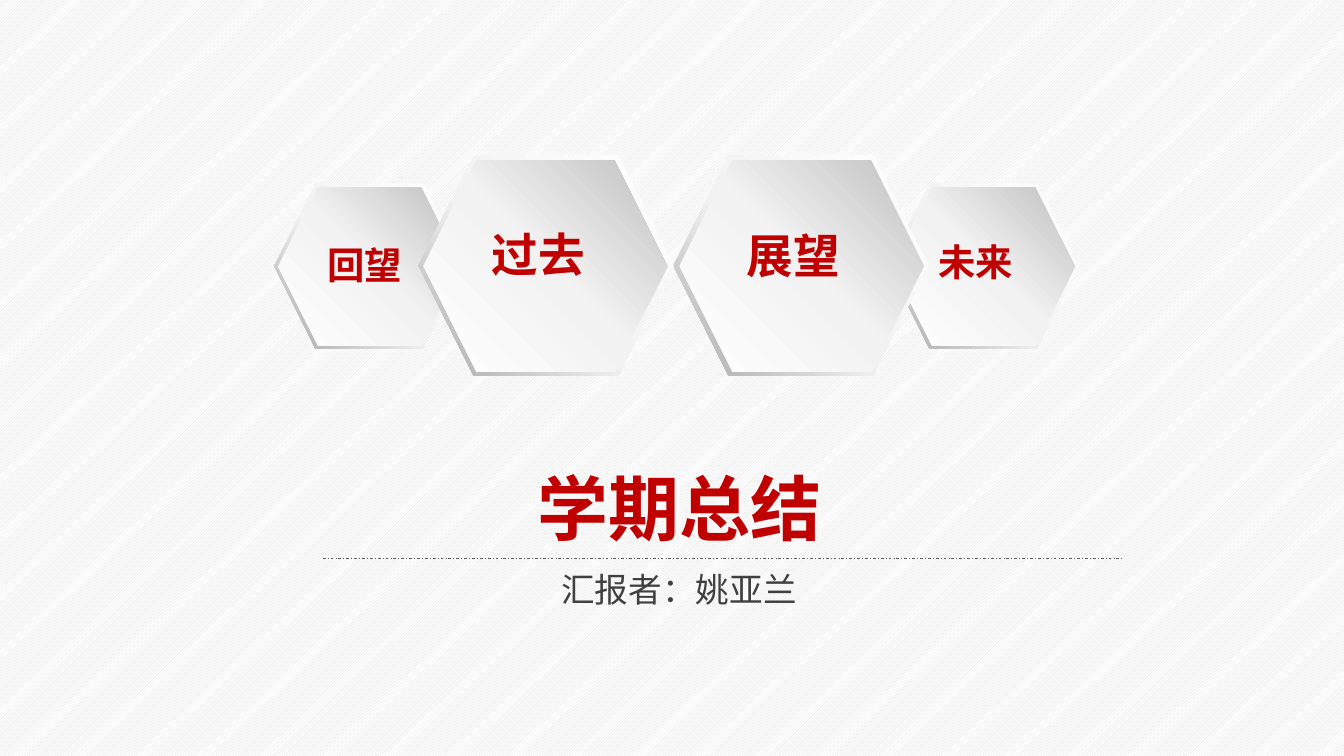
from lxml import etree
from pptx import Presentation
from pptx.dml.color import RGBColor
from pptx.enum.dml import MSO_LINE, MSO_PATTERN
from pptx.enum.shapes import MSO_CONNECTOR, MSO_SHAPE
from pptx.enum.text import MSO_AUTO_SIZE, PP_ALIGN
from pptx.oxml.ns import qn
from pptx.util import Inches, Pt

HEXAGON = MSO_SHAPE.HEXAGON
STRAIGHT = MSO_CONNECTOR.STRAIGHT
DASH_DOT = MSO_LINE.DASH_DOT
UP_DIAGONAL = MSO_PATTERN.LIGHT_UPWARD_DIAGONAL
FIT_SHAPE = MSO_AUTO_SIZE.SHAPE_TO_FIT_TEXT
CENTER = PP_ALIGN.CENTER

FONT = "Noto Sans CJK SC"
WHITE = RGBColor(0xFF, 0xFF, 0xFF)
PALE = RGBColor(0xF2, 0xF2, 0xF2)
STRIPE = RGBColor(0xD9, 0xD9, 0xD9)
SILVER = RGBColor(0xBF, 0xBF, 0xBF)
GREY = RGBColor(0xA6, 0xA6, 0xA6)
RULE = RGBColor(0x59, 0x59, 0x59)
DARK = RGBColor(0x40, 0x40, 0x40)
RED = RGBColor(0xC0, 0x00, 0x00)

# Gradient stops (percent, colour) and clockwise angle
RIM = ([(0, WHITE), (55, PALE), (100, GREY)], 135)
FACE = ([(0, WHITE), (51, PALE), (100, SILVER)], 315)

# Rim box, face box, label box, label, label size; back to front
BADGES = [
    ((8.81, 1.82, 1.89, 1.64), (8.85, 1.86, 1.81, 1.57),
     (9.2, 2.32, 0.95, 0.55), "未来", 26.7),
    ((2.72, 1.82, 1.89, 1.64), (2.76, 1.86, 1.81, 1.57),
     (3.14, 2.35, 0.95, 0.55), "回望", 26.7),
    ((6.68, 1.54, 2.53, 2.19), (6.74, 1.59, 2.42, 2.1),
     (7.3, 2.2, 1.14, 0.66), "展望", 33.3),
    ((4.15, 1.54, 2.53, 2.19), (4.2, 1.59, 2.42, 2.1),
     (4.77, 2.19, 1.14, 0.66), "过去", 33.3),
]


def fill_gradient(shape, stops, angle):
    """Replace the two default stops with the given ones."""
    shape.fill.gradient()
    grad = shape._element.spPr.find(qn("a:gradFill"))
    for child in list(grad):
        grad.remove(child)
    stop_list = etree.SubElement(grad, qn("a:gsLst"))
    for percent, color in stops:
        stop = etree.SubElement(stop_list, qn("a:gs"), pos=str(percent * 1000))
        etree.SubElement(stop, qn("a:srgbClr"), val=str(color))
    etree.SubElement(grad, qn("a:lin"), ang=str(angle * 60000), scaled="0")


def add_hexagon(shapes, box, gradient):
    s = shapes.add_shape(HEXAGON, *map(Inches, box))
    s.shadow.inherit = False
    s.line.fill.background()
    fill_gradient(s, *gradient)


def add_text(shapes, box, text, size, color=RED, bold=True, wrap=True):
    tf = shapes.add_textbox(*map(Inches, box)).text_frame
    tf.word_wrap = wrap
    tf.auto_size = FIT_SHAPE
    p = tf.paragraphs[0]
    p.alignment = CENTER
    r = p.add_run()
    r.text = text
    for name, value in {"size": Pt(size), "bold": bold, "name": FONT}.items():
        setattr(r.font, name, value)
    r.font.color.rgb = color
    etree.SubElement(r._r.get_or_add_rPr(), qn("a:ea"), typeface=FONT)


def add_badge(slide, rim, face, label_box, label, size):
    shapes = slide.shapes.add_group_shape().shapes
    add_hexagon(shapes, rim, RIM)
    add_hexagon(shapes, face, FACE)
    add_text(shapes, label_box, label, size, wrap=False)


def add_rule(slide, left, right, y):
    s = slide.shapes.add_connector(
        STRAIGHT, Inches(left), Inches(y), Inches(right), Inches(y))
    s.line.color.rgb = RULE
    s.line.width = Pt(0.5)
    s.line.dash_style = DASH_DOT
    etree.SubElement(s._element.spPr, qn("a:effectLst"))


def set_background(slide):
    fill = slide.background.fill
    fill.patterned()
    fill.pattern = UP_DIAGONAL
    fill.fore_color.rgb = STRIPE
    fill.back_color.rgb = WHITE


def main():
    prs = Presentation()
    prs.slide_width, prs.slide_height = Inches(13.33), Inches(7.5)
    slide = prs.slides.add_slide(prs.slide_layouts[6])
    set_background(slide)
    for badge in BADGES:
        add_badge(slide, *badge)
    add_text(slide.shapes, (1.92, 4.56, 9.64, 0.95), "学期总结", 50.7)
    add_text(slide.shapes, (3.48, 5.59, 6.51, 0.5), "汇报者：姚亚兰", 24,
             color=DARK, bold=False)
    add_rule(slide, 3.2, 11.15, 5.54)
    prs.save("out.pptx")


if __name__ == "__main__":
    main()
